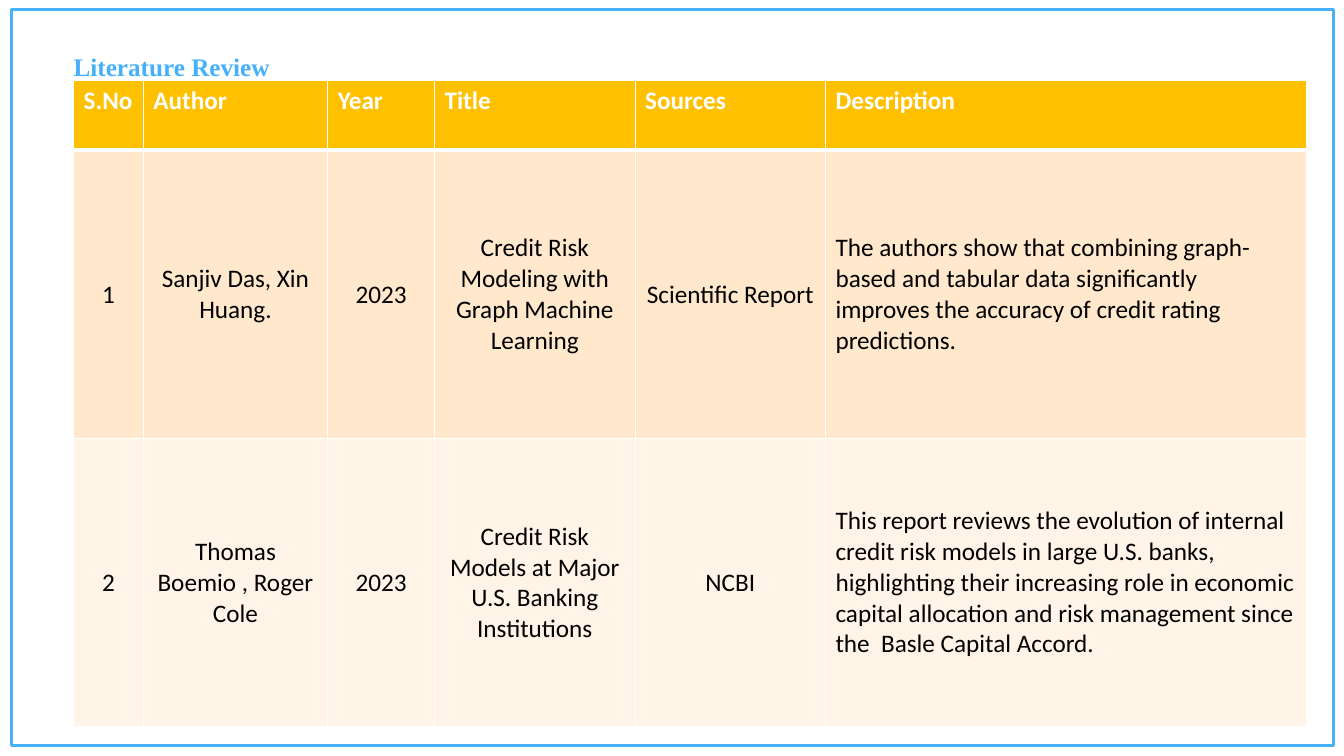
"""Build a literature review slide with a framed table of sources."""
import pptx
import pptx.util
import pptx.dml.color
import pptx.enum.shapes
import pptx.enum.text
import pptx.oxml
import pptx.oxml.ns

Pt = pptx.util.Pt
Align = pptx.enum.text.PP_ALIGN
Anchor = pptx.enum.text.MSO_ANCHOR

TITLE = "Literature Review"
ROWS = [
    ("S.No", "Author", "Year", "Title", "Sources", "Description"),
    ("1", "Sanjiv Das, Xin Huang.", "2023",
     "Credit Risk Modeling with Graph Machine Learning", "Scientific Report",
     "The authors show that combining graph-based and tabular data "
     "significantly improves the accuracy of credit rating predictions."),
    ("2", "Thomas Boemio , Roger Cole", "2023",
     "Credit Risk Models at Major U.S. Banking Institutions", "NCBI",
     "This report reviews the evolution of internal credit risk models in "
     "large U.S. banks, highlighting their increasing role in economic "
     "capital allocation and risk management since the  Basle Capital Accord."),
]
WIDTHS = [49.7, 131.8, 76.3, 143.3, 136, 343.4]
HEIGHTS = [49.7, 206, 206]
COLORS = {"frame": "46B0F9", "title": "46B0FA", "head": "FFC000",
          "odd": "FFE8CC", "even": "FFF4E7", "white": "FFFFFF", "text": "000000"}


def tint(name):
    return pptx.dml.color.RGBColor.from_string(COLORS[name])


def write(frame, text, face, color, bold, align=Align.LEFT):
    para = frame.paragraphs[0]
    para.alignment = align
    run = para.add_run()
    run.text = text
    run.font.name = face
    run.font.size = Pt(18)
    run.font.bold = bold
    run.font.color.rgb = tint(color)


def edge(cell, foot):
    props = cell._tc.get_or_add_tcPr()
    for spot, side in enumerate("LRTB"):
        width = Pt(foot if side == "B" else 1)
        line = pptx.oxml.parse_xml(
            f'<a:ln{side} {pptx.oxml.ns.nsdecls("a")} w="{width}"><a:solidFill>'
            f'<a:srgbClr val="{COLORS["white"]}"/></a:solidFill></a:ln{side}>')
        props.insert(spot, line)


def add_frame(slide):
    frame = slide.shapes.add_shape(
        pptx.enum.shapes.MSO_SHAPE.RECTANGLE, Pt(7.9), Pt(6.5), Pt(944.6), Pt(526.3))
    frame.shadow.inherit = False
    frame.fill.background()
    frame.line.color.rgb = tint("frame")
    frame.line.width = Pt(2.25)


def add_title(slide):
    title = slide.shapes.title
    title.left, title.top = Pt(45.4), Pt(33.1)
    title.width, title.height = Pt(208.8), Pt(29)
    title.text_frame.vertical_anchor = Anchor.TOP
    title.text_frame.auto_size = pptx.enum.text.MSO_AUTO_SIZE.NONE
    write(title.text_frame, TITLE, "Times New Roman", "title", True)


def add_table(slide):
    table = slide.shapes.add_table(
        len(ROWS), len(WIDTHS), Pt(52.6), Pt(57.6),
        Pt(sum(WIDTHS)), Pt(sum(HEIGHTS))).table
    for col, width in zip(table.columns, WIDTHS):
        col.width = Pt(width)
    for row, height in zip(table.rows, HEIGHTS):
        row.height = Pt(height)
    for r, row in enumerate(ROWS):
        head = r == 0
        fill = "head" if head else "odd" if r % 2 else "even"
        for c, text in enumerate(row):
            cell = table.cell(r, c)
            cell.fill.solid()
            cell.fill.fore_color.rgb = tint(fill)
            cell.vertical_anchor = Anchor.TOP if head else Anchor.MIDDLE
            left = head or c == len(row) - 1
            write(cell.text_frame, text, "Calibri", "white" if head else "text",
                  head, Align.LEFT if left else Align.CENTER)
            edge(cell, 3 if head else 1)


def main():
    deck = pptx.Presentation()
    deck.slide_width, deck.slide_height = Pt(960), Pt(540)
    slide = deck.slides.add_slide(deck.slide_layouts[5])
    add_frame(slide)
    add_title(slide)
    add_table(slide)
    deck.save("out.pptx")


if __name__ == "__main__":
    main()
